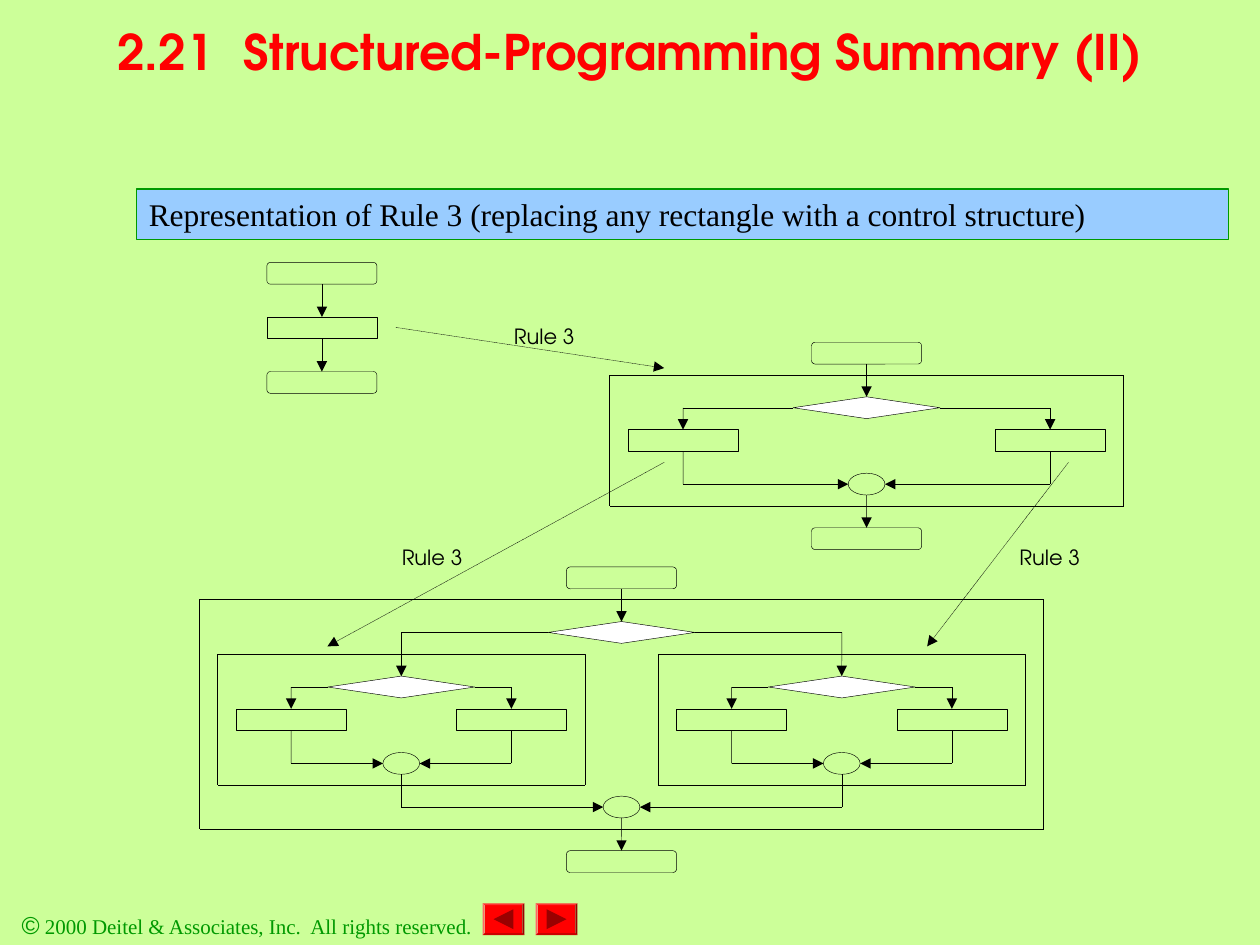
from dataclasses import dataclass
from typing import Any, NamedTuple, Optional

import lxml.etree
import pptx
import pptx.dml.color
import pptx.enum.dml
import pptx.enum.shapes
import pptx.enum.text
import pptx.oxml.ns
import pptx.util

Cm = pptx.util.Cm
Shape = pptx.enum.shapes.MSO_SHAPE
Align = pptx.enum.text.PP_ALIGN
qn = pptx.oxml.ns.qn


@dataclass(frozen=True)
class Theme:
    page: str = "CCFF99"
    title: str = "FF0000"
    button: str = "FF0000"
    button_mark: str = "990000"
    footer: str = "009900"
    banner: str = "99CCFF"
    banner_edge: str = "009900"
    ink: str = "000000"
    decision: str = "FFFFFF"
    heading_font: str = "TeX Gyre Adventor"
    body_font: str = "Times New Roman"
    symbol_font: str = "Arial"
    title_size: int = 28
    banner_size: int = 18
    symbol_size: int = 14
    small_size: int = 12
    thin: float = 0.25
    edge: float = 0.75


class Point(NamedTuple):
    x: float
    y: float


class Area(NamedTuple):
    left: float
    top: float
    width: float
    height: float


class Block(NamedTuple):
    entry: Any
    exit: Optional[Any]  # rectangle whose bottom side the exit line joins
    bottom: float


class RuleStep(NamedTuple):
    start: Point
    end: Point
    label: Point


THEME = Theme()
# Flowchart grid, in centimetres
COLUMN, ROW = 0.37, 0.22
BOX_WIDTH, DIAMOND_WIDTH, MERGE_WIDTH = 6 * COLUMN, 8 * COLUMN, 2 * COLUMN
NODE_HEIGHT, GAP = 2 * ROW, 3 * ROW


def rgb(value: str) -> Any:
    return pptx.dml.color.RGBColor.from_string(value)


def add_node(page: Any, kind: Any, area: Area, fill: str = "", edge: str = "",
             width: float = THEME.thin) -> Any:
    node = page.shapes.add_shape(kind, *map(Cm, area))
    node.shadow.inherit = False
    if fill:
        node.fill.solid()
        node.fill.fore_color.rgb = rgb(fill)
    else:
        node.fill.background()
    if edge:
        node.line.color.rgb = rgb(edge)
        node.line.width = pptx.util.Pt(width)
    else:
        node.line.fill.background()
    return node


def add_step(page: Any, kind: Any, cx: float, top: float, width: float, fill: str = "") -> Any:
    area = Area(cx - width / 2, top, width, NODE_HEIGHT)
    return add_node(page, kind, area, fill, THEME.ink)


def add_line(page: Any, start: Point, end: Point, arrow: bool = False, source: Any = None,
             source_site: int = 2, target: Any = None, dotted: bool = False) -> None:
    line = page.shapes.add_connector(pptx.enum.shapes.MSO_CONNECTOR.STRAIGHT,
                                     *map(Cm, (*start, *end)))
    line.line.color.rgb = rgb(THEME.ink)
    line.line.width = pptx.util.Pt(THEME.thin)
    if dotted:
        line.line.dash_style = pptx.enum.dml.MSO_LINE.ROUND_DOT
    if source is not None:
        line.begin_connect(source, source_site)
    if target is not None:
        line.end_connect(target, 0)
    properties = line._element.spPr
    if arrow:
        lxml.etree.SubElement(properties.find(qn("a:ln")), qn("a:tailEnd"), type="triangle")
    lxml.etree.SubElement(properties, qn("a:effectLst"))


def style_span(span: Any, font: str, size: int, color: str, bold: bool = False) -> None:
    span.font.name, span.font.size, span.font.bold = font, pptx.util.Pt(size), bold
    span.font.color.rgb = rgb(color)


def set_margins(frame: Any, horizontal: float, vertical: float) -> None:
    frame.word_wrap = True
    frame.vertical_anchor = pptx.enum.text.MSO_ANCHOR.TOP
    frame.margin_left = frame.margin_right = Cm(horizontal)
    frame.margin_top = frame.margin_bottom = Cm(vertical)


def add_text(page: Any, area: Area, text: str, horizontal: float = 0, vertical: float = 0) -> Any:
    box = page.shapes.add_textbox(*map(Cm, area))
    set_margins(box.text_frame, horizontal, vertical)
    box.text_frame.text = text
    return box.text_frame.paragraphs[0]


def add_terminal(page: Any, cx: float, top: float) -> Any:
    return add_step(page, Shape.ROUNDED_RECTANGLE, cx, top, BOX_WIDTH)


def add_frame(page: Any, cx: float, half: float, top: float, bottom: float) -> None:
    frame = add_node(page, Shape.RECTANGLE, Area(cx - half, top, 2 * half, bottom - top),
                     edge=THEME.ink)
    frame.line.dash_style = pptx.enum.dml.MSO_LINE.ROUND_DOT


def add_action(page: Any, cx: float, top: float) -> Block:
    box = add_step(page, Shape.RECTANGLE, cx, top, BOX_WIDTH)
    return Block(box, box, top + NODE_HEIGHT)


def add_selection(page: Any, cx: float, top: float, arm: float, nested_arm: float = 0) -> Block:
    """Framed two-way selection; with nested_arm each branch is a selection too."""
    diamond = add_step(page, Shape.DIAMOND, cx, top, DIAMOND_WIDTH, THEME.decision)
    level = top + NODE_HEIGHT / 2
    branch_top = level + (4 if nested_arm else 2) * ROW
    branch_half = nested_arm + 4 * COLUMN if nested_arm else BOX_WIDTH / 2
    for side, site in ((-1, 1), (1, 3)):
        x = cx + side * arm
        if nested_arm:
            branch = add_selection(page, x, branch_top, nested_arm)
        else:
            branch = add_action(page, x, branch_top)
        merge_level = branch.bottom + GAP
        add_line(page, Point(cx + side * DIAMOND_WIDTH / 2, level), Point(x, level),
                 source=diamond, source_site=site)
        add_line(page, Point(x, level), Point(x, branch_top), True, target=branch.entry)
        add_line(page, Point(x, branch.bottom), Point(x, merge_level), source=branch.exit)
        add_line(page, Point(x, merge_level), Point(cx + side * MERGE_WIDTH / 2, merge_level), True)
    add_step(page, Shape.OVAL, cx, merge_level - ROW, MERGE_WIDTH)
    bottom = merge_level + ROW
    add_frame(page, cx, arm + branch_half + COLUMN, top - 2 * ROW, bottom + ROW)
    return Block(diamond, None, bottom)


def add_flowchart(page: Any, cx: float, top: float, arm: float = 0, nested_arm: float = 0) -> None:
    start = add_terminal(page, cx, top)
    start_bottom = top + NODE_HEIGHT
    body_top = start_bottom + GAP
    if arm:
        body = add_selection(page, cx, body_top, arm, nested_arm)
    else:
        body = add_action(page, cx, body_top)
    end_top = body.bottom + GAP
    end = add_terminal(page, cx, end_top)
    add_line(page, Point(cx, start_bottom), Point(cx, body_top), True, start, target=body.entry)
    add_line(page, Point(cx, body.bottom), Point(cx, end_top), True, body.exit, target=end)


def add_button(page: Any, left: float, rotation: int) -> None:
    bevel = add_node(page, Shape.BEVEL, Area(left, 18.21, 0.84, 0.64), THEME.button)
    bevel.adjustments[0] = 0.06
    mark = add_node(page, Shape.ISOSCELES_TRIANGLE, Area(left + 0.22, 18.33, 0.4, 0.4),
                    THEME.button_mark)
    mark.rotation = rotation


def main() -> None:
    deck = pptx.Presentation()
    deck.slide_width, deck.slide_height = Cm(25.4), Cm(19.05)
    page = deck.slides.add_slide(deck.slide_layouts[6])
    page.background.fill.solid()
    page.background.fill.fore_color.rgb = rgb(THEME.page)

    # Footer and navigation buttons
    para = add_text(page, Area(0, 18.21, 9.96, 0.86), "©", 0.25, 0.13)
    para.alignment = Align.CENTER
    style_span(para.runs[0], THEME.symbol_font, THEME.symbol_size, THEME.footer)
    span = para.add_run()
    span.text = " 2000 Deitel & Associates, Inc.  All rights reserved."
    style_span(span, THEME.body_font, THEME.small_size, THEME.footer)
    add_button(page, 9.73, 270)
    add_button(page, 10.8, 90)

    # Title, with a tab stop every inch
    para = add_text(page, Area(1.9, 0.43, 21.6, 2.34),
                    "2.21\tStructured-Programming Summary (II)", 0.25)
    para.alignment = Align.CENTER
    stops = lxml.etree.SubElement(para._p.get_or_add_pPr(), qn("a:tabLst"))
    for inch in range(8):
        lxml.etree.SubElement(stops, qn("a:tab"), pos=str(Cm(2.54 * inch)), algn="l")
    style_span(para.runs[0], THEME.heading_font, THEME.title_size, THEME.title, True)

    # Flowcharts: sequence, selection, nested selection
    add_flowchart(page, 6.49, 5.29)
    add_flowchart(page, 17.47, 6.9, 10 * COLUMN)
    add_flowchart(page, 12.53, 11.43, 12 * COLUMN, 6 * COLUMN)

    # Rule arrows and their labels
    for step in (RuleStep(Point(7.98, 6.6), Point(13.39, 7.42), Point(10.36, 6.53)),
                 RuleStep(Point(13.39, 9.32), Point(6.6, 13.03), Point(8.1, 10.97)),
                 RuleStep(Point(21.54, 9.32), Point(18.69, 13.03), Point(20.55, 10.97))):
        add_line(page, step.start, step.end, True, dotted=True)
        para = add_text(page, Area(*step.label, 1.9, 0.44), "Rule 3")
        style_span(para.runs[0], THEME.heading_font, THEME.small_size, THEME.ink)

    # Banner
    banner = add_node(page, Shape.RECTANGLE, Area(2.75, 3.81, 22.02, 1.02),
                      THEME.banner, THEME.banner_edge, THEME.edge)
    set_margins(banner.text_frame, 0.25, 0.13)
    banner.text_frame.text = ("Representation of Rule 3 "
                              "(replacing any rectangle with a control structure)")
    para = banner.text_frame.paragraphs[0]
    para.alignment = Align.LEFT
    style_span(para.runs[0], THEME.body_font, THEME.banner_size, THEME.ink)

    deck.save("out.pptx")


if __name__ == "__main__":
    main()
